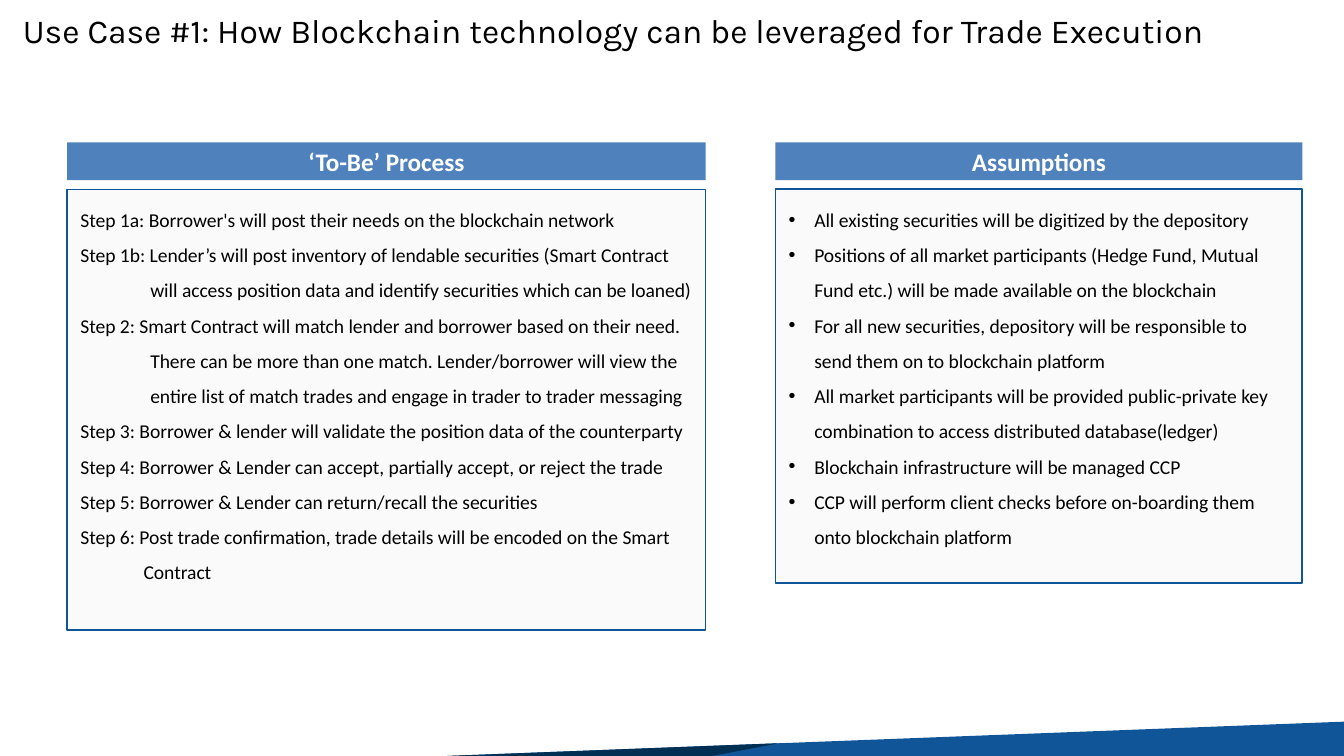
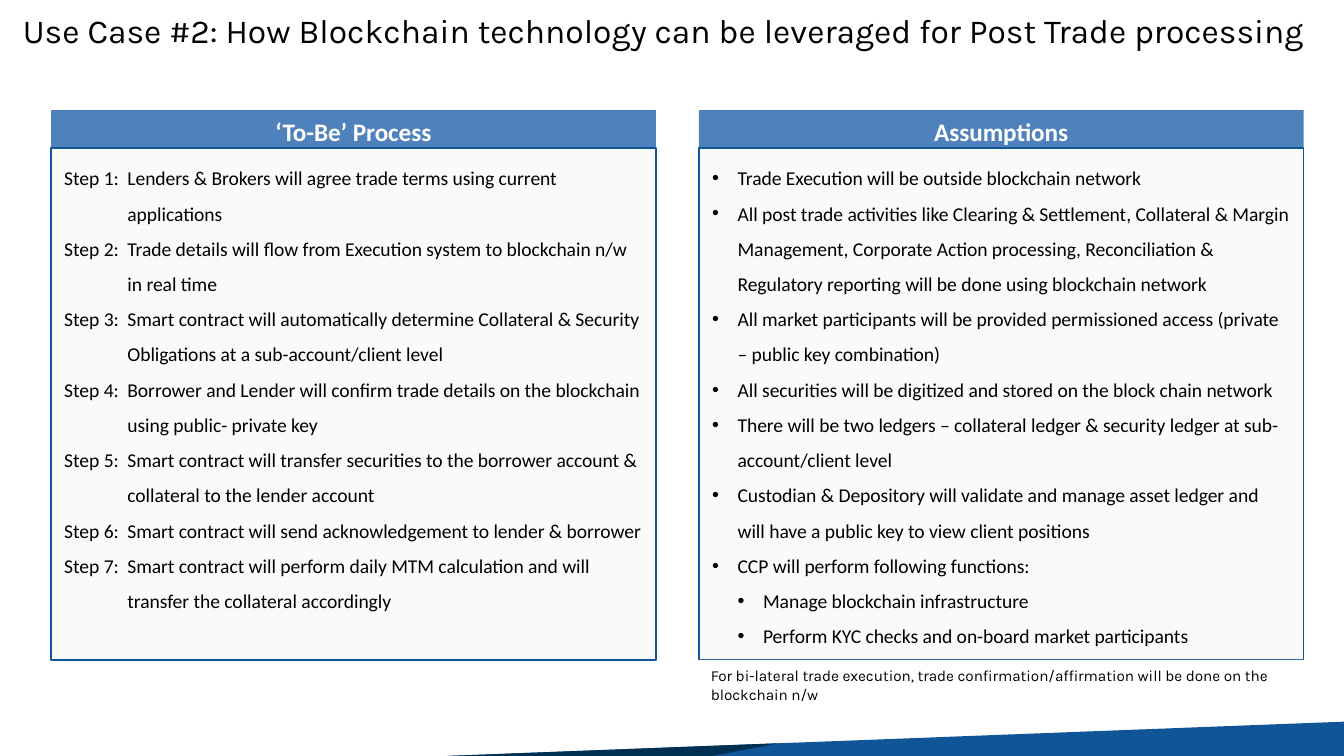
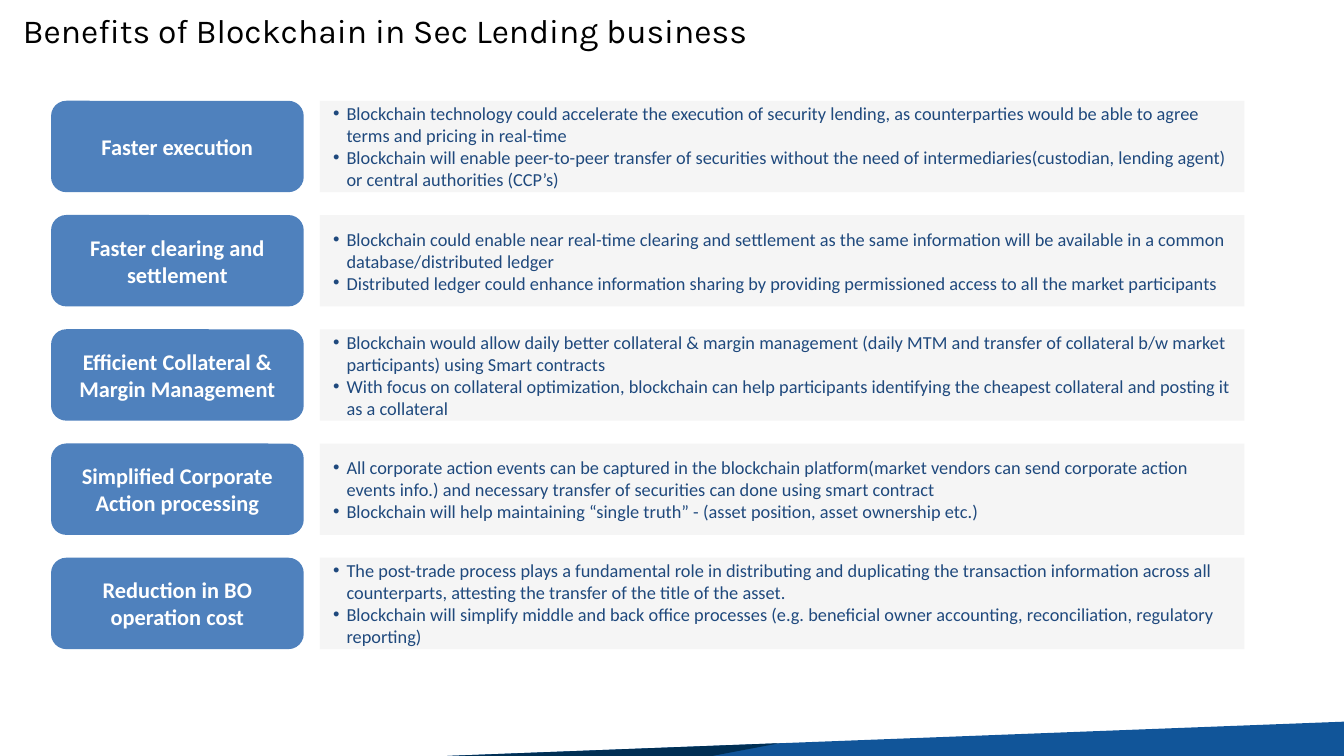
from lxml import etree
from pptx import Presentation
from pptx.dml.color import RGBColor
from pptx.enum.shapes import MSO_SHAPE
from pptx.enum.text import MSO_ANCHOR, PP_ALIGN
from pptx.oxml.ns import qn
from pptx.util import Inches, Pt

RECT, ROUND = MSO_SHAPE.RECTANGLE, MSO_SHAPE.ROUNDED_RECTANGLE
TOP, MID = MSO_ANCHOR.TOP, MSO_ANCHOR.MIDDLE
LEFT, MIDDLE = PP_ALIGN.LEFT, PP_ALIGN.CENTER
WIDE, HIGH = 10, 10 * 9 / 16

COLOR = {
    "black": "000000", "white": "FFFFFF", "head": "4F81BD", "panel": "FAFAFA",
    "edge": "115599", "deep": "002F54", "row": "F5F5F5", "navy": "1F497D",
}
HEAD_FONT, BODY_FONT = "Karla", "Calibri"

# Paragraph styles: left margin, hanging indent, bullet, level
STYLE = {
    "plain": (0, 0, False, 0),
    "long": (0.52, 0.52, False, 0),
    "step": (0.47, 0.47, False, 0),
    "dot": (0.19, 0.19, True, 0),
    "sub": (0.38, 0.19, True, 1),
    "gain": (0.1, 0.1, True, 1),
}

# Content: panes hold a place (left, width, body height) and styled groups
CASES = [
    {
        "title": "Use Case #1: How Blockchain technology can be leveraged for Trade Execution",
        "head": (1.06, 0.28),
        "body": 1.41,
        "panes": [
            ("Assumptions", (5.77, 3.92, 2.93), [
                ("dot", [
                    "All existing securities will be digitized by the depository",
                    "Positions of all market participants (Hedge Fund, Mutual Fund etc.) will be made available on the blockchain",
                    "For all new securities, depository will be responsible to send them on to blockchain platform",
                    "All market participants will be provided public-private key combination to access distributed database(ledger)",
                    "Blockchain infrastructure will be managed CCP",
                    "CCP will perform client checks before on-boarding them onto blockchain platform",
                ]),
            ]),
            ("‘To-Be’ Process", (0.5, 4.75, 3.28), [
                ("long", [
                    "Step 1a: Borrower's will post their needs on the blockchain network",
                    "Step 1b: Lender’s will post inventory of lendable securities (Smart Contract will access position data and identify securities which can be loaned)",
                    "Step 2: Smart Contract will match lender and borrower based on their need. There can be more than one match. Lender/borrower will view the entire list of match trades and engage in trader to trader messaging",
                ]),
                ("step", [
                    "Step 3: Borrower & lender will validate the position data of the counterparty",
                    "Step 4: Borrower & Lender can accept, partially accept, or reject the trade",
                    "Step 5: Borrower & Lender can return/recall the securities",
                    "Step 6: Post trade confirmation, trade details will be encoded on the Smart Contract",
                ]),
            ]),
        ],
    },
    {
        "title": "Use Case #2: How Blockchain technology can be leveraged for Post Trade processing",
        "head": (0.82, 0.31),
        "body": 1.1,
        "panes": [
            ("‘To-Be’ Process", (0.38, 4.5, 3.81), [
                ("step", [
                    "Step 1:\tLenders & Brokers will agree trade terms using current applications",
                    "Step 2:\tTrade details will flow from Execution system to blockchain n/w in real time",
                    "Step 3:\tSmart contract will automatically determine Collateral & Security Obligations at a sub-account/client level",
                    "Step 4:\tBorrower and Lender will confirm trade details on the blockchain using public- private key",
                    "Step 5:\tSmart contract will transfer securities to the borrower account & collateral to the lender account",
                    "Step 6:\tSmart contract will send acknowledgement to lender & borrower",
                    "Step 7:\tSmart contract will perform daily MTM calculation and will transfer the collateral accordingly",
                ]),
            ]),
            ("Assumptions", (5.2, 4.5, 3.81), [
                ("dot", [
                    "Trade Execution will be outside blockchain network",
                    "All post trade activities like Clearing & Settlement, Collateral & Margin Management, Corporate Action processing, Reconciliation & Regulatory reporting will be done using blockchain network",
                    "All market participants will be provided permissioned access (private – public key combination)",
                    "All securities will be digitized and stored on the block chain network",
                    "There will be two ledgers – collateral ledger & security ledger at sub-account/client level",
                    "Custodian & Depository will validate and manage asset ledger and will have a public key to view client positions",
                    "CCP will perform following functions:",
                ]),
                ("sub", [
                    "Manage blockchain infrastructure",
                    "Perform KYC checks and on-board market participants",
                ]),
            ]),
        ],
        "note": "For bi-lateral trade execution, trade confirmation/affirmation will be done on the blockchain n/w",
    },
]

GAINS_TITLE = "Benefits of Blockchain in Sec Lending business"
GAINS = [
    ("Faster execution", [
        "Blockchain technology could accelerate the execution of security lending, as counterparties would be able to agree terms and pricing in real-time",
        "Blockchain will enable peer-to-peer transfer of securities without the need of intermediaries(custodian, lending agent) or central authorities (CCP’s)",
    ]),
    ("Faster clearing and settlement", [
        "Blockchain could enable near real-time clearing and settlement as the same information will be available in a common database/distributed ledger",
        "Distributed ledger could enhance information sharing by providing permissioned access to all the market participants",
    ]),
    ("Efficient Collateral & Margin Management", [
        "Blockchain would allow daily better collateral & margin management (daily MTM and transfer of collateral b/w market participants) using Smart contracts",
        "With focus on collateral optimization, blockchain can help participants identifying the cheapest collateral and posting it as a collateral",
    ]),
    ("Simplified Corporate Action processing", [
        "All corporate action events can be captured in the blockchain platform(market vendors can send corporate action events info.) and necessary transfer of securities can done using smart contract",
        "Blockchain will help maintaining “single truth” - (asset position, asset ownership etc.)",
    ]),
    ("Reduction in BO operation cost", [
        "The post-trade process plays a fundamental role in distributing and duplicating the transaction information across all counterparts, attesting the transfer of the title of the asset.",
        "Blockchain will simplify middle and back office processes (e.g. beneficial owner accounting, reconciliation, regulatory reporting)",
    ]),
]

# Bottom band: colour and corner points
BAND = [
    ("edge", [(3.33, HIGH), (WIDE, HIGH), (WIDE, 5.37)]),
    ("deep", [(5.3, HIGH), (3.33, HIGH), (5.8, 5.53)]),
]


def rgb(name):
    return RGBColor.from_string(COLOR[name])


def paint(shape, fill, edge=None):
    shape.shadow.inherit = False
    shape.fill.solid()
    shape.fill.fore_color.rgb = rgb(fill)
    if edge:
        shape.line.color.rgb = rgb(edge)
        shape.line.width = Pt(1)
    else:
        shape.line.fill.background()


def write(shape, groups, size=10.5, font=BODY_FONT, color="black", bold=False,
          align=LEFT, anchor=TOP, space=None):
    """Fill a shape with text: one string, or groups of (style, lines)."""
    if isinstance(groups, str):
        groups = [("plain", [groups])]
    frame = shape.text_frame
    frame.word_wrap, frame.vertical_anchor = True, anchor
    lines = [(style, line) for style, group in groups for line in group]
    for i, (style, line) in enumerate(lines):
        para = frame.add_paragraph() if i else frame.paragraphs[0]
        margin, hang, dot, para.level = STYLE[style]
        para.alignment = align
        if space:
            para.line_spacing = space
        props = para._p.get_or_add_pPr()
        props.set("marL", str(Inches(margin)))
        props.set("indent", str(-Inches(hang)))
        if dot:
            etree.SubElement(props, qn("a:buFont")).set("typeface", "Arial")
            etree.SubElement(props, qn("a:buChar")).set("char", "•")
        run = para.add_run()
        run.text = line
        run.font.name, run.font.size, run.font.bold = font, Pt(size), bold
        run.font.color.rgb = rgb(color)


def box(slide, place, groups, fill, edge=None, kind=RECT, **form):
    shape = slide.shapes.add_shape(kind, *map(Inches, place))
    paint(shape, fill, edge)
    write(shape, groups, **form)


def label(slide, place, text, size, kind=RECT):
    box(slide, place, text, "head", kind=kind, size=size, color="white",
        bold=True, align=MIDDLE, anchor=MID)


def start(deck, title):
    """Add a slide with the shared band and title."""
    slide = deck.slides.add_slide(deck.slide_layouts[6])
    for fill, points in BAND:
        first, *rest = [(Inches(x), Inches(y)) for x, y in points]
        pen = slide.shapes.build_freeform(*first)
        pen.add_line_segments(rest, close=True)
        paint(pen.convert_to_shape(), fill)
    head = slide.shapes.add_textbox(*map(Inches, (0.17, 0.06, 9.67, 0.67)))
    head.text_frame.margin_left = 0
    write(head, title, size=18, font=HEAD_FONT, space=0.9)
    return slide


def add_case(deck, case):
    slide = start(deck, case["title"])
    top, tall = case["head"]
    for name, (left, width, height), groups in case["panes"]:
        label(slide, (left, top, width, tall), name, 13.5)
        box(slide, (left, case["body"], width, height), groups, "panel",
            edge="edge", space=1.5)
    if "note" in case:
        box(slide, (5.19, 4.91, 4.69, 0.38), case["note"], "white",
            size=8.2, font=HEAD_FONT)


def add_gains(deck):
    slide = start(deck, GAINS_TITLE)
    top, pitch, tall = 0.75, 0.85, 0.68
    for i, (name, lines) in enumerate(GAINS):
        y = top + i * pitch
        label(slide, (0.38, y, 1.88, tall), name, 12, kind=ROUND)
        box(slide, (2.38, y, 6.88, tall), [("gain", lines)], "row",
            size=9.8, color="navy", anchor=MID)


def main():
    deck = Presentation()
    deck.slide_width, deck.slide_height = Inches(WIDE), Inches(HIGH)
    for case in CASES:
        add_case(deck, case)
    add_gains(deck)
    deck.save("out.pptx")


if __name__ == "__main__":
    main()
